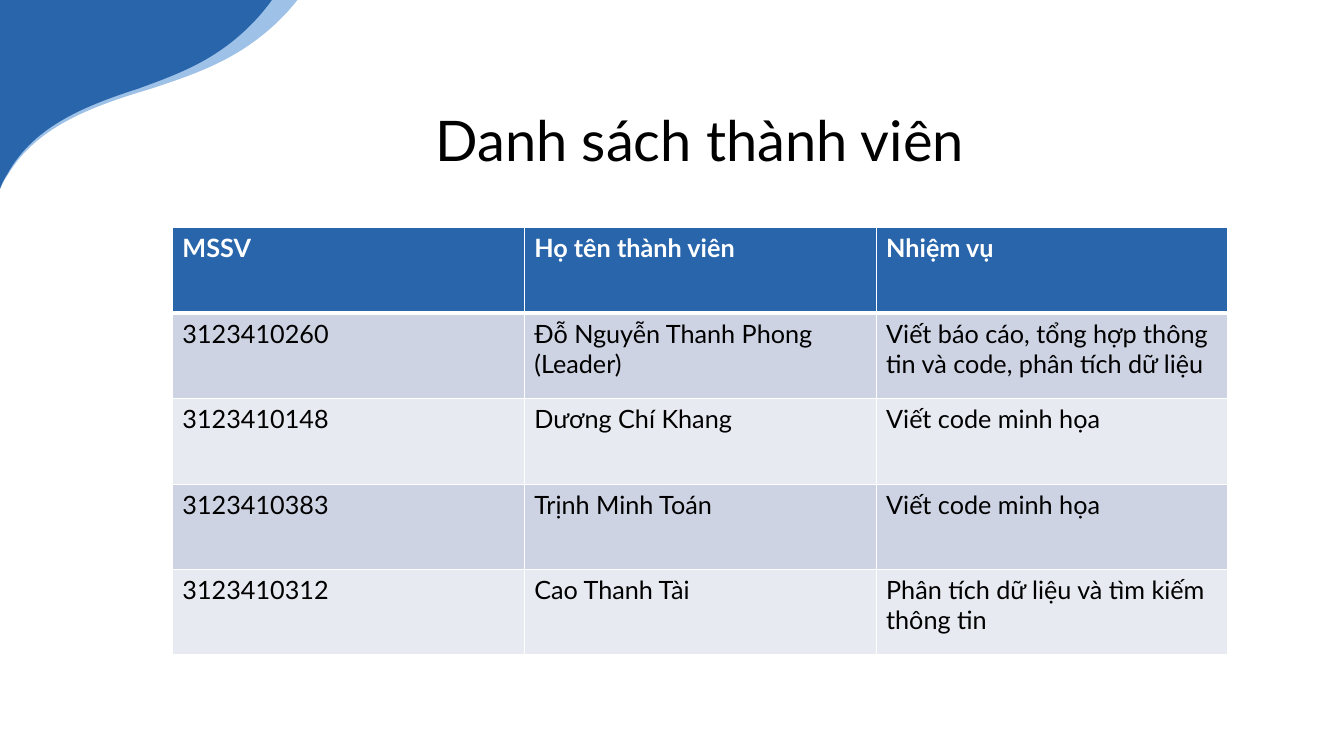
from lxml import etree
from pptx import Presentation
from pptx.dml.color import RGBColor
from pptx.enum.text import MSO_ANCHOR, PP_ALIGN
from pptx.oxml.ns import qn
from pptx.util import Inches, Pt

CENTER, LEFT = PP_ALIGN.CENTER, PP_ALIGN.LEFT
TOP = MSO_ANCHOR.TOP
W, H = 13.33, 7.5
TITLE_ONLY = 5
BLUE, LIGHT_BLUE = "2865AB", "9EC1E8"
BANDS = ("CDD3E2", "E8EAF1")
WHITE, BLACK = "FFFFFF", "000000"

# Wave outline in thousandths of an inch, from the left end of the wave
UNITS = 1000
WAVE_LEFT = -30
WAVE_WIDTH, WAVE_HEIGHT = 2980, 1970
WAVE_CURVES = [
    ((2800, 230), (2570, 420), (2320, 560)),
    ((2070, 700), (1800, 790), (1530, 880)),
    ((1260, 960), (980, 1050), (730, 1180)),
    ((480, 1310), (260, 1480), (110, 1730)),
    ((60, 1800), (20, 1890), (0, WAVE_HEIGHT)),
]
MEMBERS = [
    ("MSSV", "Họ tên thành viên", "Nhiệm vụ"),
    ("3123410260", "Đỗ Nguyễn Thanh Phong\n(Leader)",
     "Viết báo cáo, tổng hợp thông tin và code, phân tích dữ liệu"),
    ("3123410148", "Dương Chí Khang", "Viết code minh họa"),
    ("3123410383", "Trịnh Minh Toán", "Viết code minh họa"),
    ("3123410312", "Cao Thanh Tài", "Phân tích dữ liệu và tìm kiếm thông tin"),
]


def rgb(color):
    return RGBColor.from_string(color)


def write(tf, text, size=18, color=BLACK, bold=False, align=LEFT, font="Lato"):
    """Fill a text frame, one paragraph per line of text."""
    tf.word_wrap = True
    for i, line in enumerate(text.split("\n")):
        p = tf.paragraphs[0] if i == 0 else tf.add_paragraph()
        p.alignment = align
        r = p.add_run()
        r.text = line
        r.font.name, r.font.size, r.font.bold = font, Pt(size), bold
        r.font.color.rgb = rgb(color)


def bend(sp, curves):
    """Turn the last line segments of a freeform into cubic curves."""
    lines = list(sp._element.iter(qn("a:lnTo")))[-len(curves):]
    for line, curve in zip(lines, curves):
        cubic = etree.Element(qn("a:cubicBezTo"))
        for x, y in curve:
            etree.SubElement(cubic, qn("a:pt"), x=str(x), y=str(y))
        line.getparent().replace(line, cubic)


def add_border(cell, side, width):
    ln = etree.SubElement(cell._tc.get_or_add_tcPr(), qn(f"a:ln{side}"),
                          w=str(Pt(width)))
    fill = etree.SubElement(ln, qn("a:solidFill"))
    etree.SubElement(fill, qn("a:srgbClr"), val=WHITE)


class Deck:
    """Holds the presentation and its current slide; lengths are slide shares."""

    def __init__(self):
        self.prs = Presentation()
        self.prs.slide_width, self.prs.slide_height = Inches(W), Inches(H)
        self.s = self.prs.slides.add_slide(self.prs.slide_layouts[TITLE_ONLY])

    def box(self, x, y, w, h):
        return Inches(x * W), Inches(y * H), Inches(w * W), Inches(h * H)

    def title(self, text, *share):
        sp = self.s.shapes.title
        sp.left, sp.top, sp.width, sp.height = self.box(*share)
        sp.text_frame.vertical_anchor = TOP
        write(sp.text_frame, text, size=40, align=CENTER)

    def waves(self, *layers):
        """Grouped corner waves, given as colour and sideways stretch."""
        group = self.s.shapes.add_group_shape()
        for color, stretch in layers:
            curves = [[(round(x * stretch), y) for x, y in curve]
                      for curve in WAVE_CURVES]
            ends = [curve[-1] for curve in curves]
            outline = [(0, 0), (round(WAVE_WIDTH * stretch), 0)] + ends
            fb = group.shapes.build_freeform(0, WAVE_HEIGHT,
                                             scale=Inches(1) / UNITS)
            fb.add_line_segments(outline, close=True)
            sp = fb.convert_to_shape(Inches(WAVE_LEFT / UNITS), 0)
            bend(sp, curves)
            sp.shadow.inherit = False
            sp.fill.solid()
            sp.fill.fore_color.rgb = rgb(color)
            sp.line.fill.background()

    def table(self, rows, *share):
        """Equal columns and rows, a header row, then bands."""
        table = self.s.shapes.add_table(len(rows), len(rows[0]),
                                        *self.box(*share)).table
        for i, row in enumerate(rows):
            header = i == 0
            widths = {"L": 1, "R": 1, "T": 3 if i == 1 else 1,
                      "B": 3 if header else 1}
            for j, text in enumerate(row):
                cell = table.cell(i, j)
                for side, width in widths.items():
                    add_border(cell, side, width)
                cell.fill.solid()
                cell.fill.fore_color.rgb = rgb(BLUE if header else BANDS[(i - 1) % 2])
                write(cell.text_frame, text, bold=header,
                      color=WHITE if header else BLACK)


def main():
    deck = Deck()
    deck.waves((LIGHT_BLUE, 1), (BLUE, 0.915))
    deck.table(MEMBERS, 1.71 / W, 2.26 / H, 10.47 / W, 4.24 / H)
    deck.title("Danh sách thành viên", 3.46 / W, 1 / H, 6.96 / W, 0.77 / H)
    deck.prs.save("out.pptx")


if __name__ == "__main__":
    main()
